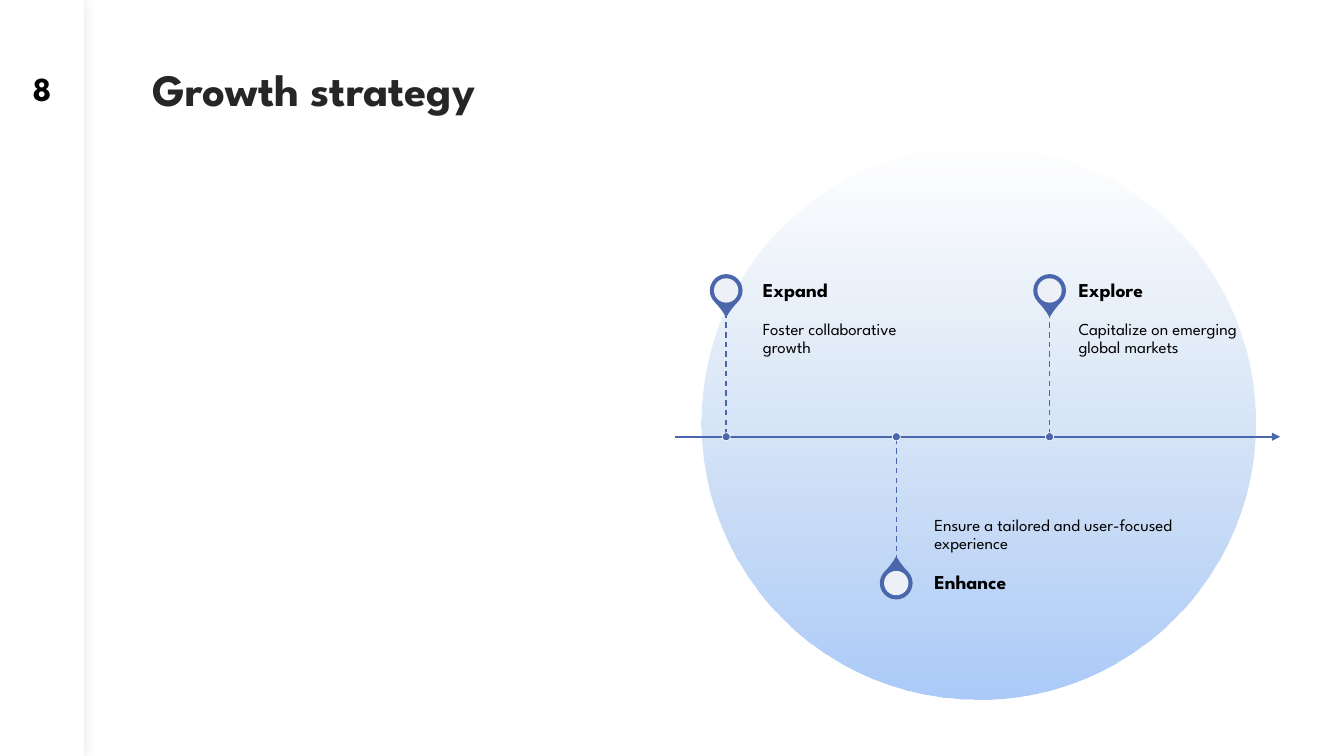
import pptx
import pptx.dml.color
import pptx.enum.dml
import pptx.enum.shapes
import pptx.enum.text
import pptx.oxml
import pptx.oxml.ns
import pptx.util

Pt = pptx.util.Pt
RGBColor = pptx.dml.color.RGBColor
SHAPE = pptx.enum.shapes.MSO_SHAPE
ALIGN = pptx.enum.text.PP_ALIGN
ANCHOR = pptx.enum.text.MSO_ANCHOR

BLACK = RGBColor(0x00, 0x00, 0x00)
CHARCOAL = RGBColor(0x26, 0x26, 0x26)
WHITE = RGBColor(0xFF, 0xFF, 0xFF)
BLUE = RGBColor(0x4A, 0x66, 0xAC)
MIST = RGBColor(0xB4, 0xCC, 0xE7)
SKY = RGBColor(0xAC, 0xCB, 0xF9)

FONT = "League Spartan"
PANEL_WIDTH = 60
AXIS_Y = 312
STEM = 88.7
PIN_OFFSET = 104.5
HEADING_HEIGHT = 31

# Heading, detail, pin centre, text left, text width, side (-1 above the axis, 1 below)
MILESTONES = [
    ("Expand", "Foster collaborative\vgrowth", 518.7, 545, 147, -1),
    ("Enhance", "Ensure a tailored and user-focused experience", 640.2, 667.4, 180, 1),
    ("Explore", "Capitalize on emerging global markets", 749.7, 770.4, 141, -1),
]


def add_xml(parent, xml):
    namespace = pptx.oxml.ns.nsdecls("a")
    parent.append(pptx.oxml.parse_xml(xml.replace("/>", f" {namespace}/>", 1)
                                      if xml.endswith("/>") and xml.count("<") == 1
                                      else xml.replace(">", f" {namespace}>", 1)))


def set_alpha(fill_element, percent):
    """Make the first colour inside a fill partly transparent."""
    colour = next(fill_element.iter(pptx.oxml.ns.qn("a:srgbClr")))
    add_xml(colour, f'<a:alpha val="{percent * 1000}"/>')


def add_block(page, kind, left, top, width, height, fill=None, line=None, line_width=1):
    block = page.shapes.add_shape(kind, Pt(left), Pt(top), Pt(width), Pt(height))
    block.shadow.inherit = False
    if fill is not None:
        block.fill.solid()
        block.fill.fore_color.rgb = fill
    if line is None:
        block.line.fill.background()
    else:
        block.line.color.rgb = line
        block.line.width = Pt(line_width)
    return block


def add_centred(page, kind, x, y, size, **style):
    return add_block(page, kind, x - size / 2, y - size / 2, size, size, **style)


def add_line(page, start, end, width):
    line = page.shapes.add_connector(pptx.enum.shapes.MSO_CONNECTOR.STRAIGHT,
                                     *(Pt(value) for value in start + end))
    line.line.color.rgb = BLUE
    line.line.width = Pt(width)
    add_xml(line._element.spPr, "<a:effectLst/>")
    return line


def write(box, text, size, bold=False, colour=BLACK, align=ALIGN.LEFT,
          anchor=ANCHOR.TOP, spacing=0.9, insets=(0, 0, 0, 0)):
    """Fill a box with one paragraph; insets run left, top, right, bottom."""
    frame = box.text_frame
    frame.word_wrap = True
    frame.auto_size = pptx.enum.text.MSO_AUTO_SIZE.NONE
    frame.vertical_anchor = anchor
    (frame.margin_left, frame.margin_top,
     frame.margin_right, frame.margin_bottom) = (Pt(inset) for inset in insets)
    para = frame.paragraphs[0]
    para.text = text
    para.alignment = align
    para.line_spacing = spacing
    for span in para.runs:
        span.font.name = FONT
        span.font.size = Pt(size)
        span.font.bold = bold
        span.font.color.rgb = colour


def add_text(page, text, left, top, width, height, **style):
    box = page.shapes.add_textbox(Pt(left), Pt(top), Pt(width), Pt(height))
    write(box, text, **style)


def add_backdrop(page):
    circle = add_block(page, SHAPE.OVAL, 501, 103.7, 396, 396)
    circle.fill.gradient()
    circle.fill.gradient_angle = 270
    for stop, colour in zip(circle.fill.gradient_stops, (MIST, SKY)):
        stop.color.rgb = colour
    set_alpha(circle._element.spPr, 0)


def add_side_panel(page):
    panel = add_block(page, SHAPE.RECTANGLE, 0, 0, PANEL_WIDTH, 540, fill=WHITE)
    effects = panel._element.spPr.find(pptx.oxml.ns.qn("a:effectLst"))
    add_xml(effects, f'<a:outerShdw blurRad="{Pt(10)}" dist="0" dir="0">'
                     '<a:srgbClr val="000000"><a:alpha val="10000"/></a:srgbClr>'
                     '</a:outerShdw>')
    add_text(page, "8", 0, 48, PANEL_WIDTH, 30, size=24, bold=True,
             align=ALIGN.CENTER, anchor=ANCHOR.MIDDLE, spacing=1)


def add_axis(page):
    axis = add_line(page, (482.4, AXIS_Y), (914.4, AXIS_Y), 1.5)
    add_xml(axis.line._get_or_add_ln(), '<a:tailEnd type="triangle"/>')


def add_milestone(page, heading, detail, x, text_left, text_width, side):
    above = side < 0
    pin_y = AXIS_Y + side * PIN_OFFSET
    stem_end = AXIS_Y + side * STEM

    pin = add_centred(page, SHAPE.TEAR, x, pin_y, 22.4, fill=BLUE, line=BLUE)
    pin.adjustments[0] = 1.15
    pin.rotation = 135 if above else 315
    disc = add_centred(page, SHAPE.OVAL, x, pin_y, 17.4, fill=WHITE)
    set_alpha(disc._element.spPr, 90)

    add_text(page, detail, text_left, min(AXIS_Y, stem_end), text_width, STEM, size=12,
             anchor=ANCHOR.TOP if above else ANCHOR.BOTTOM,
             insets=(0, 5.8, 5.8, 8.6) if above else (0, 8.6, 0, 5.8))
    add_text(page, heading, text_left, stem_end - (HEADING_HEIGHT if above else 0),
             text_width, HEADING_HEIGHT, size=14, bold=True,
             anchor=ANCHOR.MIDDLE, insets=(0, 0, 7.2, 0))

    stem = add_line(page, (x, stem_end), (x, AXIS_Y), 1)
    stem.line.dash_style = pptx.enum.dml.MSO_LINE.DASH
    add_centred(page, SHAPE.OVAL, x, AXIS_Y, 5.8, fill=BLUE, line=WHITE, line_width=0.5)


def add_title(page, text):
    title = page.shapes.title
    title.left, title.top, title.width, title.height = Pt(101.5), Pt(48), Pt(387.5), Pt(114)
    write(title, text, size=32, bold=True, colour=CHARCOAL, spacing=0.8,
          insets=(7.2, 3.6, 7.2, 3.6))


def main():
    deck = pptx.Presentation()
    deck.slide_width, deck.slide_height = Pt(960), Pt(540)
    page = deck.slides.add_slide(deck.slide_layouts[5])
    add_title(page, "Growth strategy")
    add_backdrop(page)
    add_side_panel(page)
    add_axis(page)
    for milestone in MILESTONES:
        add_milestone(page, *milestone)
    deck.save("out.pptx")


if __name__ == "__main__":
    main()
